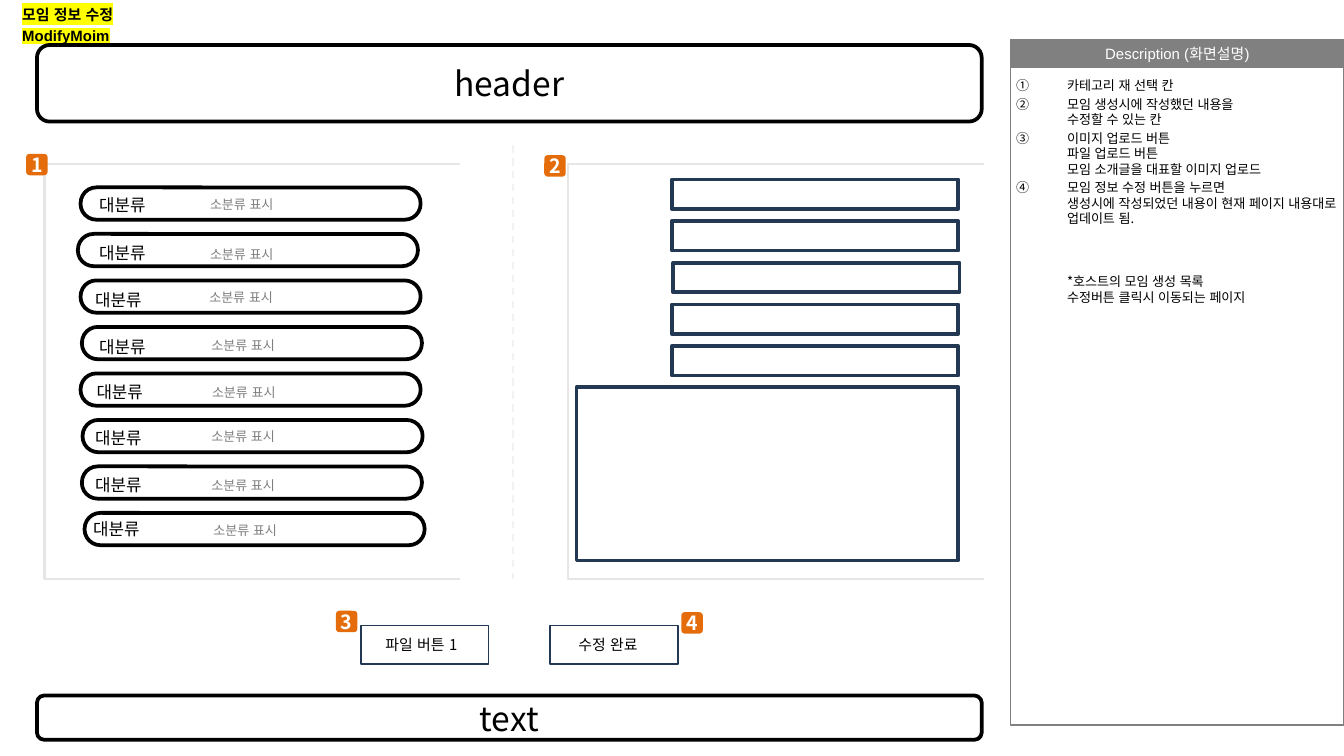
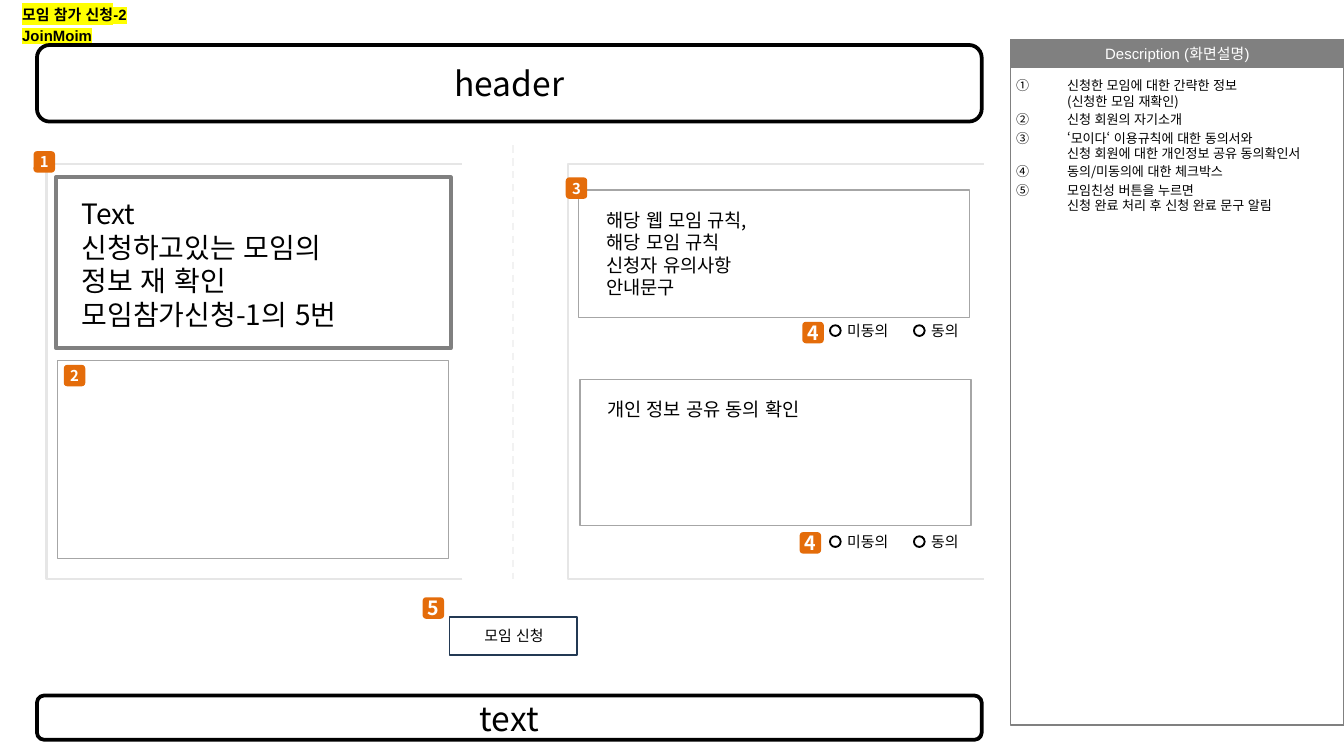
from collections.abc import Sequence
from typing import NamedTuple

from lxml.etree import SubElement
from pptx import Presentation
from pptx.dml.color import RGBColor
from pptx.enum.dml import MSO_LINE
from pptx.enum.shapes import MSO_CONNECTOR, MSO_SHAPE
from pptx.enum.text import MSO_ANCHOR, MSO_AUTO_SIZE, PP_ALIGN
from pptx.oxml.ns import qn
from pptx.util import Emu, Inches, Pt

SLIDE_WIDTH = Inches(10)
SLIDE_HEIGHT = Emu(SLIDE_WIDTH * 9 // 16)
COLUMN, ROW = SLIDE_WIDTH / 100, SLIDE_HEIGHT / 56.25

SANS, KOREAN = "Arial", "Noto Sans CJK KR"
BLACK, WHITE, GRAY, LIGHT_GRAY = "000000", "FFFFFF", "808080", "A6A6A6"
NAVY, ORANGE, YELLOW = "233953", "E46C0A", "FFFF00"
PANEL_GRAY, DIVIDER_GRAY = "E6E6E6", "F2F2F2"
HANGING_INDENT = Inches(0.38)


class Area(NamedTuple):
    """Place and size in grid columns and rows."""
    left: float
    top: float
    width: float
    height: float

    def emu(self) -> tuple:
        return (Emu(round(self.left * COLUMN)), Emu(round(self.top * ROW)),
                Emu(round(self.width * COLUMN)), Emu(round(self.height * ROW)))


class Style(NamedTuple):
    size: float
    color: str = BLACK
    font: str = KOREAN
    bold: bool = False
    align: PP_ALIGN = PP_ALIGN.LEFT


class Badge(NamedTuple):
    number: int
    left: float
    top: float
    size: float = 10.5


class Label(NamedTuple):
    lines: Sequence[str]
    area: Area
    size: float = 8
    color: str = BLACK


class Box(NamedTuple):
    area: Area
    color: str
    weight: float


class Category(NamedTuple):
    pill_left: float
    name_left: float
    name_top: float
    detail_left: float
    detail_top: float


class Screen(NamedTuple):
    title: Sequence[str]
    panel_left: float
    boxes: Sequence[Box]
    labels: Sequence[Label]
    badges: Sequence[Badge]
    description: Sequence[str]
    remark: str = ""


CATEGORIES = (
    Category(6.0, 6.4, 14.0, 14.65, 14.1),
    Category(5.8, 6.4, 17.55, 14.65, 17.85),
    Category(6.0, 6.1, 21.05, 14.6, 21.05),
    Category(6.1, 6.4, 24.55, 14.75, 24.6),
    Category(6.0, 6.2, 27.9, 14.8, 28.1),
    Category(6.15, 6.1, 31.3, 14.75, 31.4),
    Category(6.1, 6.1, 34.85, 14.75, 35.0),
    Category(6.3, 5.95, 38.1, 14.9, 38.4),
)
PILL_TOP, PILL_PITCH = 13.95, 3.46
INPUT_TOP, INPUT_PITCH = 13.35, 3.1
INPUT_LEFTS = (50, 50, 50.1, 50, 50)
CONSENT_ROWS = (23.45, 39.15)

MODIFY = Screen(
    title=("모임 정보 수정", "ModifyMoim"),
    panel_left=3.3,
    boxes=(
        *(Box(Area(left, INPUT_TOP + i * INPUT_PITCH, 21.3, 2.2), NAVY, 2)
          for i, left in enumerate(INPUT_LEFTS)),
        Box(Area(42.9, 28.8, 28.4, 12.9), NAVY, 2),
        Box(Area(26.85, 46.55, 9.5, 2.85), NAVY, 1),
        Box(Area(40.95, 46.55, 9.5, 2.85), NAVY, 1),
    ),
    labels=(
        *(Label(("대분류",), Area(c.name_left, c.name_top, 7.4, 2.5), 9)
          for c in CATEGORIES),
        *(Label(("소분류 표시",), Area(c.detail_left, c.detail_top, 7.4, 2.2), 7, GRAY)
          for c in CATEGORIES),
        Label(("파일 버튼 1",), Area(27.7, 46.8, 9, 2.4)),
        Label(("수정 완료",), Area(42.05, 46.8, 9, 2.4)),
    ),
    badges=(Badge(1, 1.95, 11.45), Badge(2, 40.5, 11.55),
            Badge(3, 25, 45.45), Badge(4, 50.7, 45.55)),
    description=(
        "카테고리 재 선택 칸",
        "모임 생성시에 작성했던 내용을\n수정할 수 있는 칸",
        "이미지 업로드 버튼\n파일 업로드 버튼\n모임 소개글을 대표할 이미지 업로드",
        "모임 정보 수정 버튼을 누르면\n"
        "생성시에 작성되었던 내용이 현재 페이지 내용대로 업데이트 됨.",
    ),
    remark="*호스트의 모임 생성 목록\n수정버튼 클릭시 이동되는 페이지",
)

JOIN = Screen(
    title=("모임 참가 신청-2", "JoinMoim"),
    panel_left=3.45,
    boxes=(
        Box(Area(4.15, 13.2, 29.4, 12.7), GRAY, 2),
        Box(Area(4.3, 26.85, 29.1, 14.7), LIGHT_GRAY, 0.75),
        Box(Area(43.05, 14.15, 29.1, 9.5), LIGHT_GRAY, 0.75),
        Box(Area(43.15, 28.25, 29.1, 10.85), LIGHT_GRAY, 0.75),
        Box(Area(33.45, 45.9, 9.5, 2.85), NAVY, 1),
    ),
    labels=(
        Label(("Text\n신청하고있는 모임의", "정보 재 확인", "모임참가신청-1의 5번"),
              Area(5.1, 14.15, 27.6, 13.6), 15),
        Label(("해당 웹 모임 규칙,", "해당 모임 규칙", "신청자 유의사항", "안내문구"),
              Area(44.15, 15.05, 27.8, 7.7), 10),
        Label(("개인 정보 공유 동의 확인",), Area(44.2, 29.1, 27.8, 2.7), 10),
        *(Label((answer,), Area(left, top, 5.7, 2.4))
          for top in CONSENT_ROWS
          for answer, left in (("미동의", 62.05), ("동의", 68.3))),
        Label(("모임 신청",), Area(35.05, 46.15, 7.5, 2.4)),
    ),
    badges=(Badge(1, 2.5, 11.25, 8), Badge(2, 4.75, 27.15, 8), Badge(3, 42.1, 13.2, 8),
            Badge(4, 59.7, 23.95), Badge(4, 59.5, 39.6), Badge(5, 31.45, 44.45)),
    description=(
        "신청한 모임에 대한 간략한 정보\n(신청한 모임 재확인)",
        "신청 회원의 자기소개",
        "‘모이다‘ 이용규칙에 대한 동의서와\n신청 회원에 대한 개인정보 공유 동의확인서",
        "동의/미동의에 대한 체크박스",
        "모임친성 버튼을 누르면\n신청 완료 처리 후 신청 완료 문구 알림",
    ),
)


def rgb(value: str) -> RGBColor:
    return RGBColor.from_string(value)


def write(shape, lines: Sequence[str], style: Style, anchor=MSO_ANCHOR.TOP,
          insets: tuple = (0.1, 0.05, 0.1, 0.05), gap: float = 0) -> list:
    """Fill the shape with one paragraph per line and return the paragraphs."""
    frame = shape.text_frame
    frame.word_wrap = True
    frame.auto_size = MSO_AUTO_SIZE.NONE
    frame.vertical_anchor = anchor
    (frame.margin_left, frame.margin_top,
     frame.margin_right, frame.margin_bottom) = map(Inches, insets)
    for i, line in enumerate(lines):
        paragraph = frame.add_paragraph() if i else frame.paragraphs[0]
        paragraph.text = line.replace("\n", "\v")
        paragraph.alignment = style.align
        paragraph.line_spacing = Pt(style.size * 1.2)
        paragraph.space_before = Pt(gap)
        font = paragraph.font
        font.size, font.bold, font.name = Pt(style.size), style.bold, style.font
        font.color.rgb = rgb(style.color)
        defaults = paragraph._p.pPr.find(qn("a:defRPr"))
        defaults.set("lang", "ko-KR")
        latin = defaults.find(qn("a:latin"))
        latin.addnext(latin.makeelement(qn("a:ea"), {"typeface": KOREAN}))
    return list(frame.paragraphs)


def add_form(slide, kind: MSO_SHAPE, area: Area, fill: str = "",
             line: str = "", weight: float = 1):
    """Add a preset shape; an empty colour means no fill or no line."""
    form = slide.shapes.add_shape(kind, *area.emu())
    form.shadow.inherit = False
    if fill:
        form.fill.solid()
        form.fill.fore_color.rgb = rgb(fill)
    else:
        form.fill.background()
    if line:
        form.line.color.rgb = rgb(line)
        form.line.width = Pt(weight)
    else:
        form.line.fill.background()
    return form


def add_title(slide, lines: Sequence[str]) -> None:
    title = slide.shapes.title
    title.left, title.top, title.width, title.height = Area(1.65, -0.1, 11, 3.1).emu()
    style = Style(8, font=SANS, bold=True)
    for paragraph in write(title, lines, style, insets=(0, 0.05, 0, 0.05), gap=1.6):
        for run in paragraph.runs:
            highlight = SubElement(run._r.get_or_add_rPr(), qn("a:highlight"))
            SubElement(highlight, qn("a:srgbClr"), val=YELLOW)


def add_bar(slide, word: str, top: float, height: float) -> None:
    bar = add_form(slide, MSO_SHAPE.ROUNDED_RECTANGLE, Area(2.75, top, 70.3, height),
                   WHITE, BLACK, 2)
    write(bar, [word], Style(18, align=PP_ALIGN.CENTER), MSO_ANCHOR.MIDDLE)


def add_panel(slide, left: float) -> None:
    """Add a content panel that is open on its right side."""
    panel = add_form(slide, MSO_SHAPE.LEFT_BRACKET, Area(left, 12.2, 30.95, 30.9),
                     line=PANEL_GRAY, weight=1.25)
    panel.adjustments[0] = 0


def add_divider(slide) -> None:
    left, top, width, height = Area(38.2, 10.8, 0, 32.3).emu()
    divider = slide.shapes.add_connector(MSO_CONNECTOR.STRAIGHT, left, top,
                                         left + width, top + height)
    divider.line.color.rgb = rgb(DIVIDER_GRAY)
    divider.line.width = Pt(1)
    divider.line.dash_style = MSO_LINE.DASH
    SubElement(divider._element.spPr, qn("a:effectLst"))


def add_label(slide, label: Label) -> None:
    write(slide.shapes.add_textbox(*label.area.emu()), label.lines,
          Style(label.size, label.color))


def add_badge(slide, badge: Badge) -> None:
    square = add_form(slide, MSO_SHAPE.ROUNDED_RECTANGLE,
                      Area(badge.left, badge.top, 1.6, 1.6), ORANGE)
    write(square, [str(badge.number)],
          Style(badge.size, WHITE, bold=True, align=PP_ALIGN.CENTER),
          MSO_ANCHOR.MIDDLE, (0, 0.05, 0, 0.05))


def add_description(slide, items: Sequence[str], remark: str) -> None:
    heading = add_form(slide, MSO_SHAPE.RECTANGLE, Area(75.2, 2.95, 24.8, 2.1), GRAY)
    write(heading, ["Description (화면설명)"],
          Style(8, WHITE, SANS, align=PP_ALIGN.CENTER), MSO_ANCHOR.MIDDLE,
          (0.09, 0.04, 0.09, 0.04))
    add_form(slide, MSO_SHAPE.RECTANGLE, Area(75.2, 2.95, 24.8, 51), line=GRAY, weight=0.75)
    notes = slide.shapes.add_textbox(*Area(75.2, 5.3, 24.8, 48.8).emu())
    lines = [*items, remark] if remark else items
    paragraphs = write(notes, lines, Style(7), insets=(0.04, 0.05, 0, 0.05), gap=1.4)
    for i, paragraph in enumerate(paragraphs):
        properties = paragraph._p.pPr
        properties.set("marL", str(HANGING_INDENT))
        if i < len(items):
            properties.set("indent", str(-HANGING_INDENT))
            bullet = properties.makeelement(qn("a:buAutoNum"), {"type": "circleNumDbPlain"})
            properties.find(qn("a:defRPr")).addprevious(bullet)
        else:
            paragraph.space_before = Pt(25.2)


def add_pills(slide) -> None:
    for i, category in enumerate(CATEGORIES):
        area = Area(category.pill_left, PILL_TOP + i * PILL_PITCH, 25.3, 2.4)
        pill = add_form(slide, MSO_SHAPE.ROUNDED_RECTANGLE, area, line=BLACK, weight=2)
        pill.adjustments[0] = 0.49


def add_consent_circles(slide) -> None:
    for top in CONSENT_ROWS:
        for left in (61.75, 68):
            add_form(slide, MSO_SHAPE.OVAL, Area(left, top + 0.75, 0.8, 0.8), line=BLACK)


def add_screen(deck, screen: Screen):
    slide = deck.slides.add_slide(deck.slide_layouts.get_by_name("Title Only"))
    add_title(slide, screen.title)
    add_description(slide, screen.description, screen.remark)
    add_bar(slide, "header", 3.35, 5.7)
    add_bar(slide, "text", 51.75, 3.3)
    add_divider(slide)
    for left in (screen.panel_left, 42.25):
        add_panel(slide, left)
    for box in screen.boxes:
        add_form(slide, MSO_SHAPE.RECTANGLE, box.area, line=box.color, weight=box.weight)
    for label in screen.labels:
        add_label(slide, label)
    for badge in screen.badges:
        add_badge(slide, badge)
    return slide


def main() -> None:
    deck = Presentation()
    deck.slide_width, deck.slide_height = SLIDE_WIDTH, SLIDE_HEIGHT
    add_pills(add_screen(deck, MODIFY))
    add_consent_circles(add_screen(deck, JOIN))
    deck.save("out.pptx")


if __name__ == "__main__":
    main()
